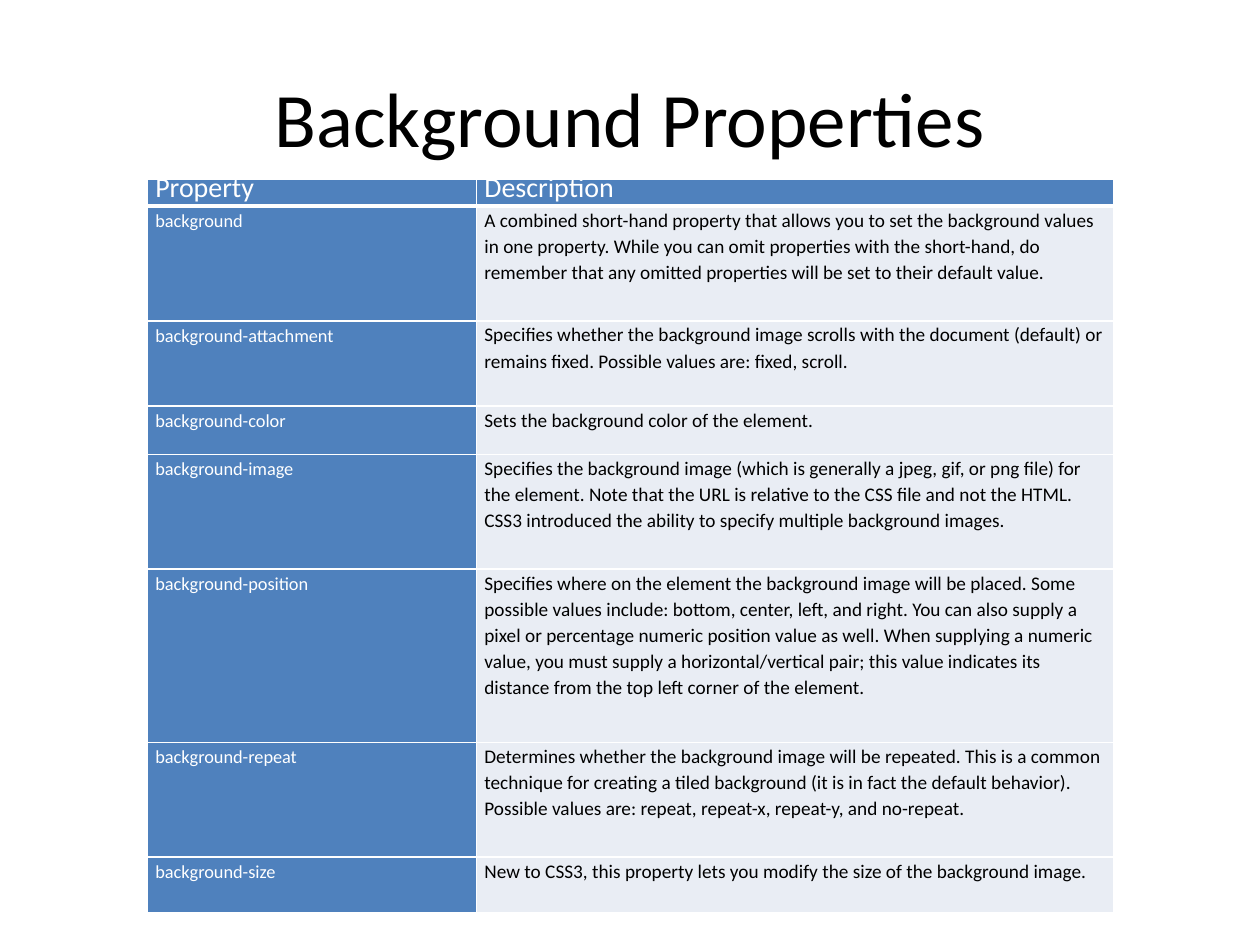
"""Build a slide with a table of the CSS background properties."""
from typing import NamedTuple

import pptx
import pptx.dml.color
import pptx.enum.text
import pptx.oxml
import pptx.oxml.ns
import pptx.util

Pt = pptx.util.Pt
FONT = "Calibri"
WHITE, BLACK, BLUE, PALE = "FFFFFF", "000000", "4F81BD", "E9EDF4"
COLUMN_WIDTHS = (188, 364)


class Style(NamedTuple):
    size: float
    color: str
    fill: str
    space_after: float = 0
    bottom_border: float = 1


class Entry(NamedTuple):
    name: str
    description: str
    height: float


HEADING = Style(16, WHITE, BLUE, space_after=14, bottom_border=3)
NAME = Style(10.5, WHITE, BLUE)
DESCRIPTION = Style(11, BLACK, PALE, space_after=7)

ENTRIES = (
    Entry("Property", "Description", 15.5),
    Entry(
        "background",
        "A combined short-hand property that allows you to set the background values "
        "in one property. While you can omit properties with the short-hand, do "
        "remember that any omitted properties will be set to their default value.",
        65.6,
    ),
    Entry(
        "background-attachment",
        "Specifies whether the background image scrolls with the document (default) or "
        "remains fixed. Possible values are: fixed, scroll.",
        48.7,
    ),
    Entry("background-color", "Sets the background color of the element.", 27.5),
    Entry(
        "background-image",
        "Specifies the background image (which is generally a jpeg, gif, or png file) for "
        "the element. Note that the URL is relative to the CSS file and not the HTML. "
        "CSS3 introduced the ability to specify multiple background images.",
        65.6,
    ),
    Entry(
        "background-position",
        "Specifies where on the element the background image will be placed. Some "
        "possible values include: bottom, center, left, and right. You can also supply a "
        "pixel or percentage numeric position value as well. When supplying a numeric "
        "value, you must supply a horizontal/vertical pair; this value indicates its "
        "distance from the top left corner of the element.",
        99,
    ),
    Entry(
        "background-repeat",
        "Determines whether the background image will be repeated. This is a common "
        "technique for creating a tiled background (it is in fact the default behavior). "
        "Possible values are: repeat, repeat-x, repeat-y, and no-repeat.",
        65.6,
    ),
    Entry(
        "background-size",
        "New to CSS3, this property lets you modify the size of the background image.",
        31.7,
    ),
)


def rgb(value: str) -> pptx.dml.color.RGBColor:
    return pptx.dml.color.RGBColor.from_string(value)


def format_font(paragraph, size: float, color: str) -> None:
    for run in paragraph.runs:
        run.font.name = FONT
        run.font.size = Pt(size)
        run.font.color.rgb = rgb(color)


def add_borders(cell, bottom: float) -> None:
    properties = cell._tc.get_or_add_tcPr()
    for side, width in (("L", 1), ("R", 1), ("T", 1), ("B", bottom)):
        properties.append(pptx.oxml.parse_xml(
            f'<a:ln{side} {pptx.oxml.ns.nsdecls("a")} w="{Pt(width)}">'
            f'<a:solidFill><a:srgbClr val="{WHITE}"/></a:solidFill></a:ln{side}>'
        ))


def fill_cell(cell, text: str, style: Style) -> None:
    cell.margin_left = cell.margin_right = Pt(4.5)
    cell.margin_top = cell.margin_bottom = Pt(0)
    add_borders(cell, style.bottom_border)
    cell.fill.solid()
    cell.fill.fore_color.rgb = rgb(style.fill)
    cell.text_frame.text = text
    paragraph = cell.text_frame.paragraphs[0]
    paragraph.line_spacing = Pt(15)
    paragraph.space_after = Pt(style.space_after)
    format_font(paragraph, style.size, style.color)


def add_title(slide, text: str) -> None:
    title = slide.shapes.add_textbox(Pt(36), Pt(21.6), Pt(648), Pt(90)).text_frame
    title.word_wrap = True
    title.vertical_anchor = pptx.enum.text.MSO_ANCHOR.MIDDLE
    title.text = text
    title.paragraphs[0].alignment = pptx.enum.text.PP_ALIGN.CENTER
    format_font(title.paragraphs[0], 44, BLACK)


def add_property_table(slide, entries: tuple[Entry, ...]) -> None:
    table = slide.shapes.add_table(
        len(entries), len(COLUMN_WIDTHS), Pt(84.3), Pt(102.3),
        Pt(sum(COLUMN_WIDTHS)), Pt(sum(entry.height for entry in entries)),
    ).table
    for column, width in zip(table.columns, COLUMN_WIDTHS):
        column.width = Pt(width)
    for index, entry in enumerate(entries):
        table.rows[index].height = Pt(entry.height)
        styles = (NAME, DESCRIPTION) if index else (HEADING, HEADING)
        texts = (entry.name, entry.description)
        for cell, text, style in zip(table.rows[index].cells, texts, styles):
            fill_cell(cell, text, style)


def main() -> None:
    deck = pptx.Presentation()
    deck.slide_width, deck.slide_height = Pt(720), Pt(540)
    slide = deck.slides.add_slide(deck.slide_layouts[6])
    add_title(slide, "Background Properties")
    add_property_table(slide, ENTRIES)
    deck.save("out.pptx")


if __name__ == "__main__":
    main()
